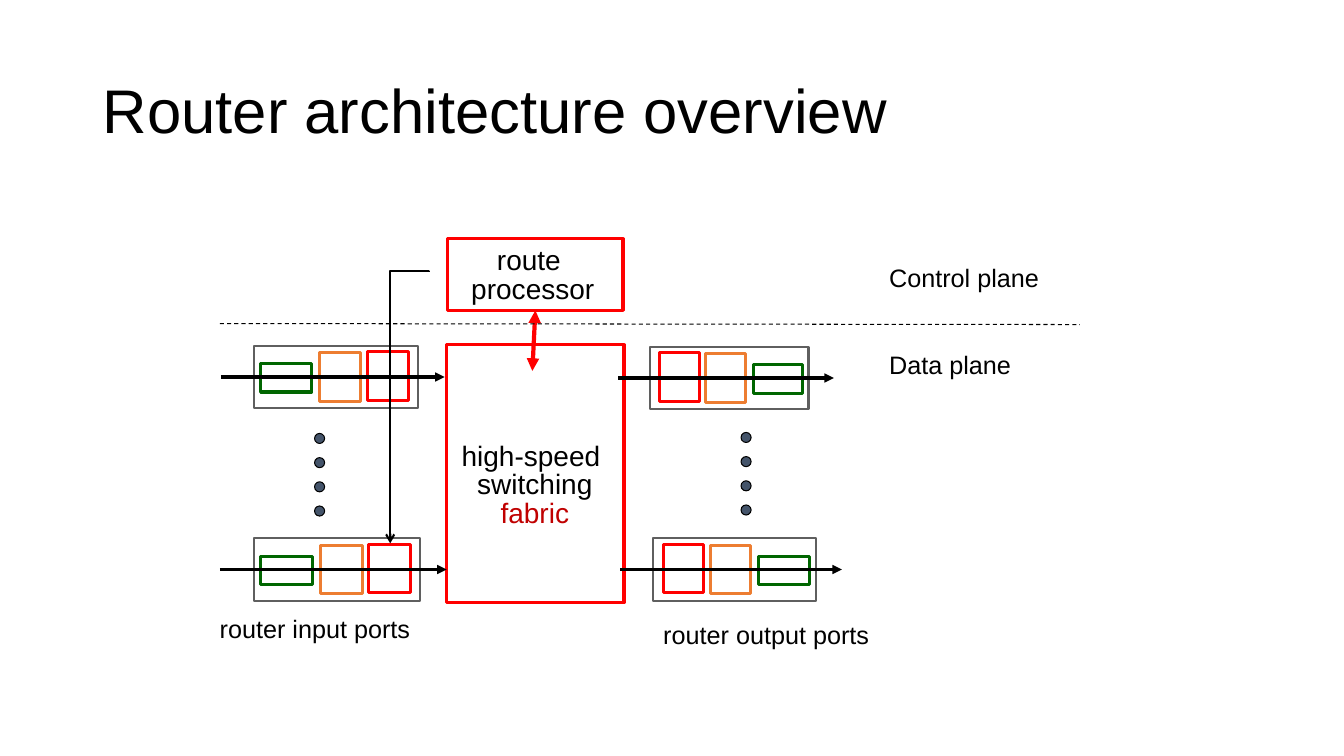
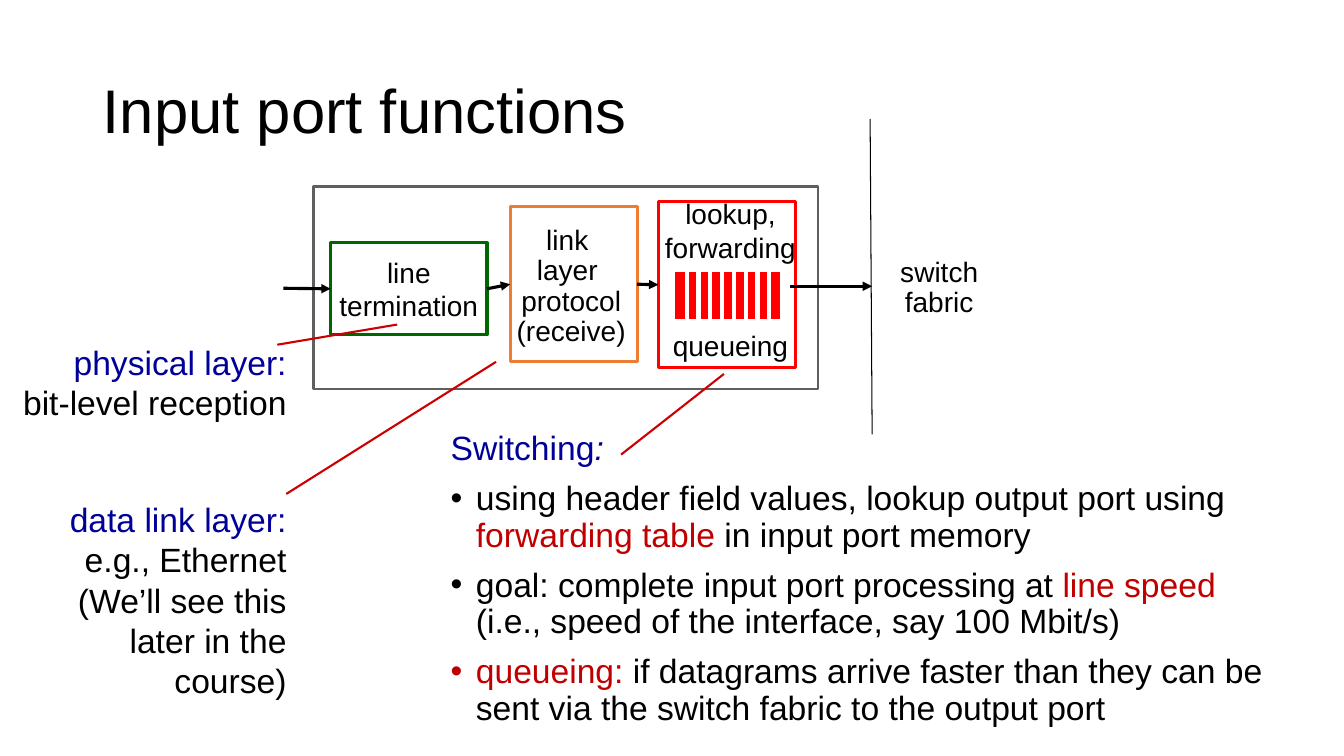
import pptx
import pptx.util
import pptx.dml.color
import pptx.enum.dml
import pptx.enum.shapes
import pptx.enum.text
from pptx.oxml.ns import qn
from lxml import etree

Inch, Pt = pptx.util.Inches, pptx.util.Pt
Align, Anchor = pptx.enum.text.PP_ALIGN, pptx.enum.text.MSO_ANCHOR
Fit = pptx.enum.text.MSO_AUTO_SIZE
Shape, Link = pptx.enum.shapes.MSO_SHAPE, pptx.enum.shapes.MSO_CONNECTOR

# Shared look
FONT = "Arial"
BLACK, WHITE, GRAY, SLATE = "000000", "FFFFFF", "5F5F5F", "44546A"
RED, GREEN, ORANGE = "FF0000", "006600", "ED7D31"
NAVY, WINE, CRIMSON = "000099", "C00000", "CC0000"
TITLE = (0.92, 0.4, 11.5, 1.45)
LAYOUT = {"title": 5, "body": 1}

# Router content: share of port width at left, share wide, top, height, colour
PARTS = [(0.04, 0.31, 0.18, 0.28, GREEN),
         (0.4, 0.25, 0.07, 0.48, ORANGE),
         (0.69, 0.25, 0.06, 0.48, RED)]
# left, top, width, mirrored, arrow start, arrow end
PORTS = [(2.52, 3.43, 1.63, False, 2.19, 4.41),
         (2.52, 5.34, 1.65, False, 2.18, 4.43),
         (6.45, 3.44, 1.57, True, 6.13, 8.27),
         (6.48, 5.34, 1.61, True, 6.15, 8.35)]
DOTS = [(3.12, 4.3), (7.35, 4.29)]
LABELS = [("router input ports", (2.08, 6.04, 2.09, 0.4), False),
          ("router output ports", (6.48, 6.09, 2.24, 0.4), False),
          ("Control plane", (8.72, 2.55, 1.84, 0.4), True),
          ("Data plane", (8.72, 3.42, 1.84, 0.4), True)]

# Input port content
SWITCHING = [
    [("Switching", NAVY), (":", NAVY, True)],
    ["using header field values, lookup output port using ",
     ("forwarding table ", WINE), "in input port memory"],
    ["goal: complete input port processing at ", ("line speed ", WINE),
     "(i.e., speed of the interface, say 100 Mbit/s)"],
    [("queueing:", WINE), " if datagrams arrive faster than they can be "
     "sent via the switch fabric to the output port"]]
LAYERS = [
    ([[("physical layer:", NAVY)], "bit-level reception"],
     (0.1, 3.34, 2.84, 0.91)),
    ([[("data link layer:", NAVY)], "e.g., Ethernet",
      "(We’ll see this later in the course)"], (0.56, 4.9, 2.38, 2.12))]
POINTERS = [((2.84, 4.9), (4.92, 3.59)), ((2.75, 3.42), (3.94, 3.22)),
            ((6.16, 4.51), (7.18, 3.71))]


def tint(code):
    return pptx.dml.color.RGBColor.from_string(code)


def write(frame, paras, size=20, color=BLACK, align=Align.LEFT, space=None,
          gaps=None, bullets=None, anchor=Anchor.TOP, wrap=False,
          fit=Fit.NONE):
    """Fill a frame; a paragraph is a string or a list of runs."""
    frame.clear()
    frame.word_wrap, frame.auto_size = wrap, fit
    frame.vertical_anchor = anchor
    for i, runs in enumerate(paras):
        para = frame.paragraphs[0] if i == 0 else frame.add_paragraph()
        if bullets:
            props = para._p.get_or_add_pPr()
            props.set("marL", str(Inch(0.25)))
            props.set("indent", str(-Inch(0.25)))
            if bullets[i]:
                etree.SubElement(props, qn("a:buChar"), char=bullets[i])
            else:
                etree.SubElement(props, qn("a:buNone"))
        para.alignment = align
        if space:
            para.line_spacing = space
        para.space_before = Pt(gaps[i] if gaps else 0)
        for item in [runs] if isinstance(runs, str) else runs:
            words, hue, slant = (((item,) if isinstance(item, str) else item)
                                 + (None, None))[:3]
            run = para.add_run()
            run.text = words
            run.font.name, run.font.size = FONT, Pt(size)
            run.font.color.rgb = tint(hue or color)
            if slant:
                run.font.italic = True


def place(shape, at):
    shape.left, shape.top, shape.width, shape.height = map(Inch, at)


def start(deck, kind, title):
    slide = deck.slides.add_slide(deck.slide_layouts[LAYOUT[kind]])
    place(slide.shapes.title, TITLE)
    write(slide.shapes.title.text_frame, [title], size=44, space=0.9,
          anchor=Anchor.MIDDLE, wrap=True)
    return slide


def box(slide, at, line, width=2.25, fill=WHITE, form=Shape.RECTANGLE):
    shape = slide.shapes.add_shape(form, *map(Inch, at))
    shape.shadow.inherit = False
    shape.fill.solid()
    shape.fill.fore_color.rgb = tint(fill)
    shape.line.color.rgb = tint(line)
    shape.line.width = Pt(width)
    return shape


def label(slide, paras, at, fill=None, **form):
    shape = slide.shapes.add_textbox(*map(Inch, at))
    if fill:
        shape.fill.solid()
        shape.fill.fore_color.rgb = tint(fill)
    else:
        form.setdefault("fit", Fit.SHAPE_TO_FIT_TEXT)
    write(shape.text_frame, paras, **form)


def wire(slide, a, b, color=BLACK, width=2.25, head=None, tail=None,
         dash=False, kind=Link.STRAIGHT, first=None, last=None):
    """Draw a line; first and last are (shape, side) joints."""
    line = slide.shapes.add_connector(kind, *map(Inch, a + b))
    if first:
        line.begin_connect(*first)
    if last:
        line.end_connect(*last)
    line.line.color.rgb = tint(color)
    line.line.width = Pt(width)
    if dash:
        line.line.dash_style = pptx.enum.dml.MSO_LINE.DASH
    props = line._element.spPr
    for tag, tip in (("a:headEnd", head), ("a:tailEnd", tail)):
        if tip:
            etree.SubElement(props.find(qn("a:ln")), qn(tag), type=tip)
    etree.SubElement(props, qn("a:effectLst"))
    return line


def elbow(slide, a, b, **form):
    """Go sideways from a, then down to b, as a quarter-turned connector."""
    long, wide = b[1] - a[1], a[0] - b[0]
    x, y = (a[0] + b[0] - long) / 2, (a[1] + b[1] - wide) / 2
    line = wire(slide, (x, y), (x + long, y + wide), kind=Link.ELBOW, **form)
    props = line._element.spPr
    props.find(qn("a:xfrm")).set("rot", str(90 * 60000))
    geom = props.find(qn("a:prstGeom"))
    room = geom.find(qn("a:avLst"))
    if room is None:
        room = etree.SubElement(geom, qn("a:avLst"))
    etree.SubElement(room, qn("a:gd"), name="adj1", fmla="val -100")


def port(slide, left, top, width, flip, begin, end):
    box(slide, (left, top, width, 0.62), GRAY, 1.5)
    for share, wide, drop, high, color in PARTS:
        side = 1 - share - wide if flip else share
        box(slide, (left + side * width, top + drop, wide * width, high),
            color)
    mid = top + 0.31
    wire(slide, (begin, mid), (end, mid), tail="triangle")


def router(deck):
    slide = start(deck, "title", "Router architecture overview")
    # Core
    tight = dict(align=Align.CENTER, space=0.85)
    box(slide, (4.43, 3.42, 1.76, 2.56), RED)
    label(slide, ["high-speed ", "switching", [("fabric", WINE)]],
          (4.47, 4.35, 1.67, 0.97), **tight)
    brain = box(slide, (4.44, 2.37, 1.74, 0.71), RED)
    label(slide, ["route ", "processor"], (4.57, 2.41, 1.43, 0.68), **tight)
    wire(slide, (5.3, 3.08), (5.28, 3.68), RED, 3, head="triangle",
         tail="triangle", first=(brain, 2))
    # Ports and the dots between them
    for item in PORTS:
        port(slide, *item)
    for x, y in DOTS:
        for i in range(4):
            box(slide, (x, y + 0.24 * i, 0.1, 0.1), BLACK, 0.75, SLATE,
                Shape.OVAL)
    # Planes
    elbow(slide, (4.25, 2.69), (3.87, 5.39), width=1.5, tail="arrow")
    wire(slide, (2.18, 3.21), (10.71, 3.22), width=0.75, dash=True)
    for words, at, wrap in LABELS:
        label(slide, [words], at, size=18, wrap=wrap)


def inputs(deck):
    slide = start(deck, "body", "Input port functions")
    body = slide.placeholders[1]
    place(body, (4.37, 4.23, 8.31, 3.1))
    write(body.text_frame, SWITCHING, size=24, space=0.9, wrap=True,
          gaps=[0, 10, 10, 10], bullets=[None, "•", "•", "•"])
    # Stages of the port
    box(slide, (3.11, 1.85, 5, 2.01), GRAY, 1.5)
    term = box(slide, (3.28, 2.41, 1.55, 0.91), GREEN)
    write(term.text_frame, ["line", "termination"], align=Align.CENTER,
          anchor=Anchor.MIDDLE)
    proto = box(slide, (5.06, 2.05, 1.26, 1.54), ORANGE)
    look = box(slide, (6.53, 2, 1.36, 1.65), RED)
    # Flow from left to right
    for a, b, first, last in [
            ((2.81, 2.86), (3.28, 2.86), None, (term, 1)),
            ((4.83, 2.86), (5.06, 2.82), (term, 3), (proto, 1)),
            ((6.32, 2.82), (6.53, 2.82), (proto, 3), (look, 1)),
            ((7.84, 2.84), (8.65, 2.84), None, None)]:
        wire(slide, a, b, tail="triangle", first=first, last=last)
    # Stage names
    plain = dict(fill=WHITE, align=Align.CENTER, space=0.9,
                 anchor=Anchor.MIDDLE)
    label(slide, ["link ", "layer ", "protocol", "(receive)"],
          (5.09, 2.39, 1.15, 0.91), **plain)
    label(slide, ["lookup,", "forwarding", "queueing"],
          (6.49, 1.9, 1.51, 1.78), align=Align.CENTER, gaps=[0, 0, 46])
    wire(slide, (8.63, 1.18), (8.65, 4.31), width=0.75)
    label(slide, ["switch", "fabric"], (8.74, 2.41, 1.15, 0.91), **plain)
    # Queue cut into slots
    box(slide, (6.67, 2.68, 1.09, 0.51), WHITE, 3, RED)
    for i in range(8):
        x = 6.81 + i * 0.82 / 7
        wire(slide, (x, 2.69), (x, 3.18), WHITE, 3)
    # Layer notes
    for paras, at in LAYERS:
        label(slide, paras, at, size=24, align=Align.RIGHT, wrap=True)
    for a, b in POINTERS:
        wire(slide, a, b, CRIMSON, 1.5)


def main():
    deck = pptx.Presentation()
    deck.slide_width, deck.slide_height = Inch(13.33), Inch(7.5)
    router(deck)
    inputs(deck)
    deck.save("out.pptx")


if __name__ == "__main__":
    main()
